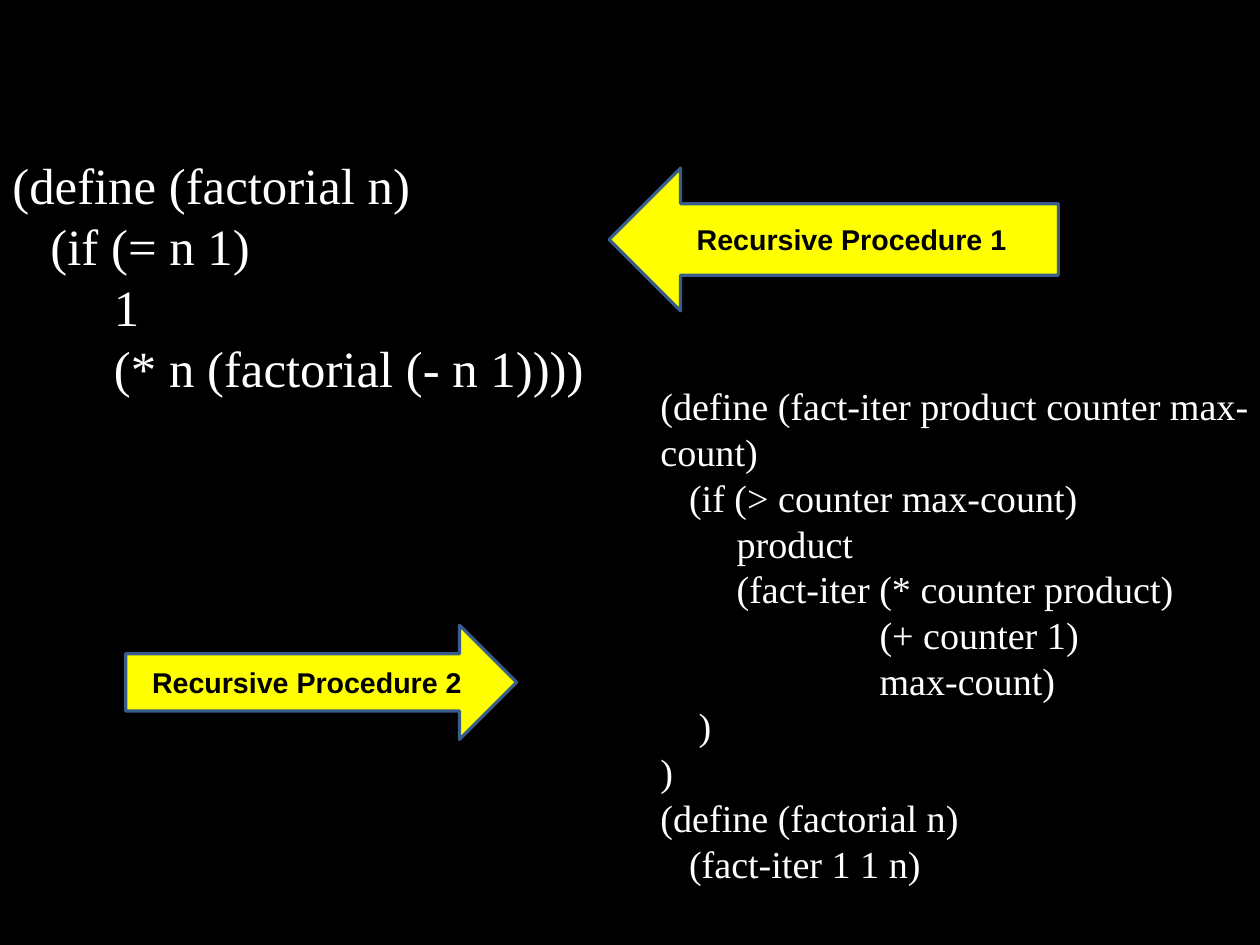
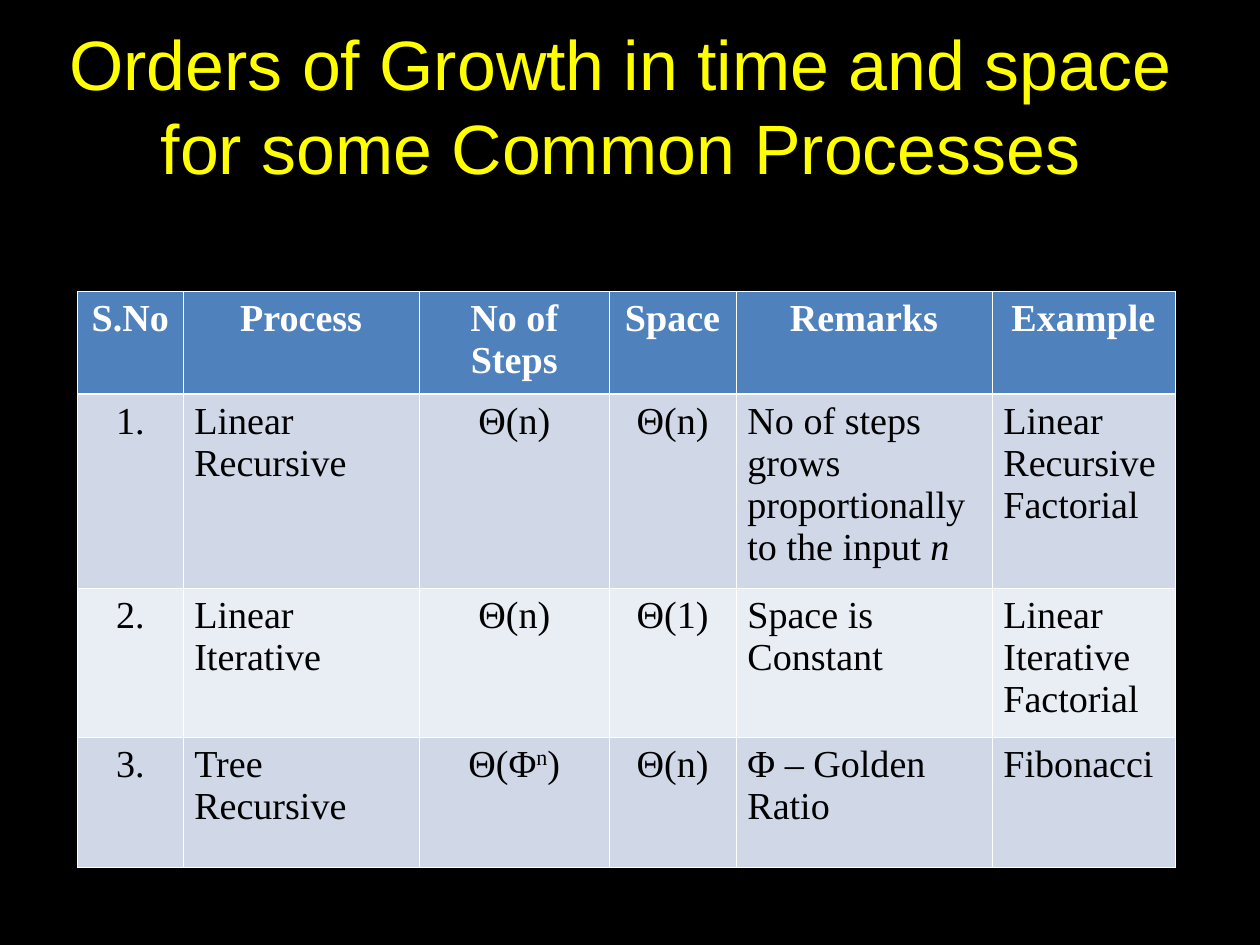
from lxml.etree import SubElement
from pptx import Presentation
from pptx.dml.color import RGBColor
from pptx.enum.shapes import MSO_SHAPE
from pptx.enum.text import MSO_ANCHOR, PP_ALIGN
from pptx.oxml.ns import qn
from pptx.util import Cm, Inches, Pt

# Shared look
BLACK, WHITE, YELLOW = "000000", "FFFFFF", "FFFF00"
ARROW_LINE, HEADER = "385D8A", "4F81BD"
BANDS = ("D0D8E8", "E9EDF4")
SANS, SERIF = "Arial", "Times New Roman"

# Code listings: (indent in characters, line)
RECURSIVE_CODE = [
    (0, "(define (factorial n)"),
    (3, "(if (= n 1)"),
    (8, "1"),
    (8, "(* n (factorial (- n 1))))"),
]
ITERATIVE_CODE = [
    (0, "(define (fact-iter product counter max-count)"),
    (3, "(if (> counter max-count)"),
    (8, "product"),
    (8, "(fact-iter (* counter product)"),
    (23, "(+ counter 1)"),
    (23, "max-count)"),
    (4, ")"),
    (0, ")"),
    (0, "(define (factorial n)"),
    (3, "(fact-iter 1 1 n)"),
]
LISTINGS = [
    ((5.68, 3.3, 5.35, 4.9), ITERATIVE_CODE, 24),
    ((0.01, 1.3, 5.25, 2.5), RECURSIVE_CODE, 32),
]
ARROWS = [
    (MSO_SHAPE.LEFT_ARROW, (5.33, 1.47, 3.93, 1.25), "Recursive Procedure 1"),
    (MSO_SHAPE.RIGHT_ARROW, (1.1, 5.47, 3.42, 1), "Recursive Procedure 2"),
]

# Growth table: a cell is text or a list of paragraphs;
# a paragraph is text or a list of (text, style) runs
TITLE = "Orders of Growth in time and space for some Common Processes"
COL_WIDTHS = (0.92, 2.07, 1.66, 1.11, 2.24, 1.6)
ROW_HEIGHTS = (0.9, 1.7, 1.3, 1.14)
CENTRED_COLS = (0, 2, 3)
ROWS = [
    ["S.No", "Process", "No of Steps", "Space", "Remarks", "Example"],
    ["1.", "Linear Recursive", "Θ(n)", "Θ(n)",
     ["No of steps grows", "proportionally",
      [("to the input ", ""), ("n", "italic")]],
     ["Linear", "Recursive", "Factorial"]],
    ["2.", "Linear Iterative", "Θ(n)", "Θ(1)", "Space is Constant",
     ["Linear", "Iterative", "Factorial"]],
    ["3.", "Tree Recursive", [[("Θ(Φ", ""), ("n", "super"), (")", "")]],
     "Θ(n)", "Φ – Golden Ratio", "Fibonacci"],
]


def rgb(value):
    return RGBColor.from_string(value)


def write(tf, text, size=24, font=SERIF, color=WHITE, bold=False,
          centred=False, indents=()):
    """Fill a text frame; indents are counted in space widths."""
    tf.word_wrap = True
    paragraphs = [text] if isinstance(text, str) else text
    for i, content in enumerate(paragraphs):
        p = tf.add_paragraph() if i else tf.paragraphs[0]
        p.alignment = PP_ALIGN.CENTER if centred else PP_ALIGN.LEFT
        if indents:
            p._p.get_or_add_pPr().set("marL", str(Pt(indents[i] * size / 4)))
        runs = [(content, "")] if isinstance(content, str) else content
        for run_text, style in runs:
            r = p.add_run()
            r.text = run_text
            r.font.size, r.font.name, r.font.bold = Pt(size), font, bold
            r.font.color.rgb = rgb(color)
            r.font.italic = style == "italic"
            if style == "super":
                r._r.get_or_add_rPr().set("baseline", "30000")


def add_text(s, box, text, **fmt):
    sp = s.shapes.add_textbox(*map(Inches, box))
    write(sp.text_frame, text, **fmt)


def add_arrow(s, kind, box, label):
    sp = s.shapes.add_shape(kind, *map(Inches, box))
    sp.shadow.inherit = False
    sp.fill.solid()
    sp.fill.fore_color.rgb = rgb(YELLOW)
    sp.line.color.rgb = rgb(ARROW_LINE)
    sp.line.width = Pt(2)
    sp.text_frame.vertical_anchor = MSO_ANCHOR.MIDDLE
    write(sp.text_frame, label, size=18, font=SANS, color=BLACK,
          bold=True, centred=True)


def set_borders(cell, **widths):
    tc_pr = cell._tc.get_or_add_tcPr()
    for side in ("L", "R", "T", "B"):
        ln = SubElement(tc_pr, qn(f"a:ln{side}"),
                        w=str(Pt(widths.get(side, 0.45))))
        SubElement(SubElement(ln, qn("a:solidFill")), qn("a:srgbClr"), val=WHITE)


def add_growth_table(s, left, top):
    table = s.shapes.add_table(
        len(ROWS), len(COL_WIDTHS), Inches(left), Inches(top),
        Inches(sum(COL_WIDTHS)), Inches(sum(ROW_HEIGHTS))).table
    for column, width in zip(table.columns, COL_WIDTHS):
        column.width = Inches(width)
    for i, (row, height) in enumerate(zip(ROWS, ROW_HEIGHTS)):
        table.rows[i].height = Inches(height)
        head = i == 0
        rule = {0: {"B": 1.47}, 1: {"T": 1.47}}.get(i, {})
        for j, text in enumerate(row):
            cell = table.cell(i, j)
            set_borders(cell, **rule)
            cell.fill.solid()
            cell.fill.fore_color.rgb = rgb(HEADER if head else BANDS[(i - 1) % 2])
            write(cell.text_frame, text, color=WHITE if head else BLACK,
                  bold=head, centred=head or j in CENTRED_COLS)


def main():
    prs = Presentation()
    prs.slide_width, prs.slide_height = Cm(28), Cm(21)
    backdrop = prs.slide_master.background.fill
    backdrop.solid()
    backdrop.fore_color.rgb = rgb(BLACK)
    blank = prs.slide_layouts[6]

    # Slide 1: two recursive procedures
    s = prs.slides.add_slide(blank)
    for box, code, size in LISTINGS:
        indents, lines = zip(*code)
        add_text(s, box, lines, size=size, indents=indents)
    for arrow in ARROWS:
        add_arrow(s, *arrow)

    # Slide 2: orders of growth
    s = prs.slides.add_slide(blank)
    add_text(s, (0.1, 0.13, 10.67, 1.67), TITLE, size=44, font=SANS,
             color=YELLOW, centred=True)
    add_growth_table(s, 0.68, 2.55)

    prs.save("out.pptx")


if __name__ == "__main__":
    main()
